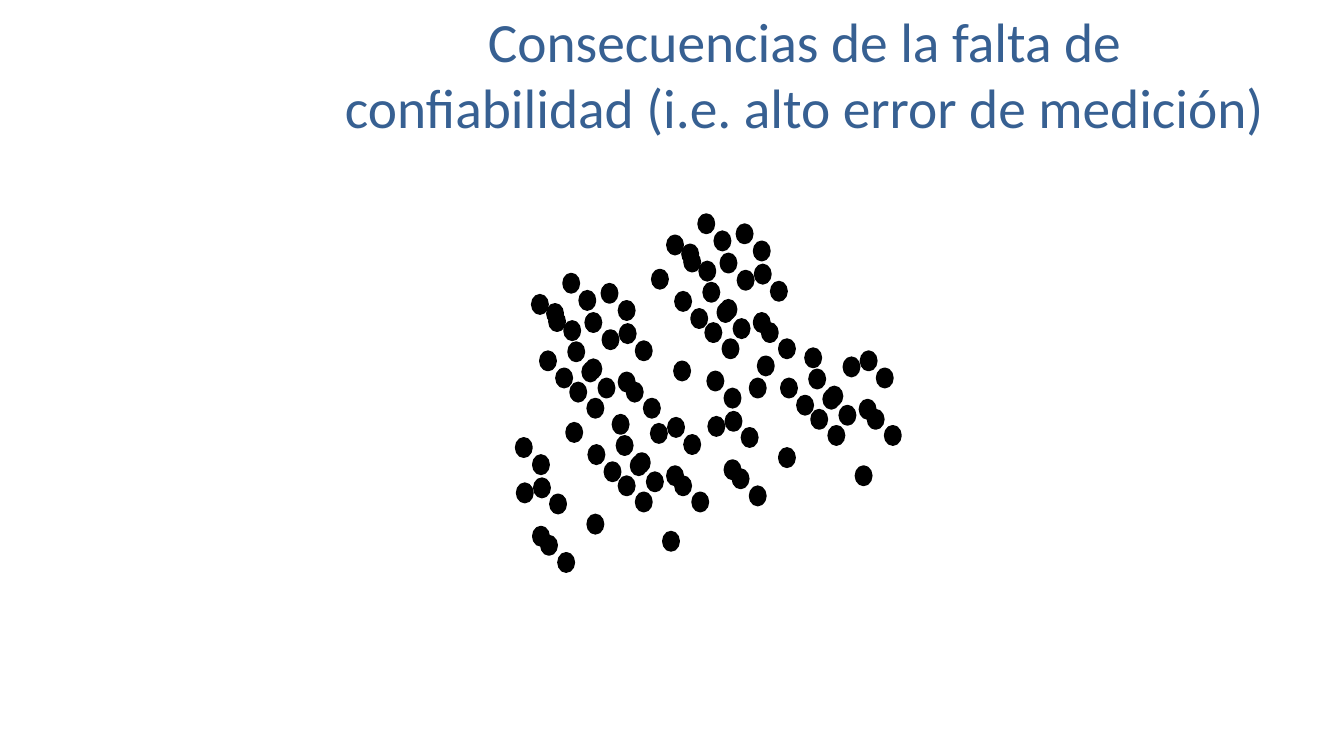
from pptx import Presentation
from pptx.dml.color import RGBColor
from pptx.enum.shapes import MSO_SHAPE
from pptx.enum.text import MSO_ANCHOR, PP_ALIGN
from pptx.util import Cm, Pt

OVAL = MSO_SHAPE.OVAL
MIDDLE = MSO_ANCHOR.MIDDLE
CENTER = PP_ALIGN.CENTER

# Content: places are in units of 2.54 cm
UNIT = 2.54
COLORS = {"title": "376092", "dot": "000000"}
TITLE = "Consecuencias de la falta de confiabilidad (i.e. alto error de medición)"
BOX = (3.3, 0.3, 9.36, 0.86)
SIZE = (0.15, 0.18)

HEAD = [
    (5.43, 3.02), (5.59, 2.72), (5.28, 2.93), (5.81, 3.11),
    (5.97, 2.82), (5.75, 2.89), (5.45, 3.1), (6.14, 2.99),
]
BODY = [
    (5.78, 3.6), (6.15, 3.22), (5.64, 3.4), (5.36, 3.49), (5.66, 3.8),
    (6.22, 3.8), (5.6, 3.19), (5.98, 3.28), (5.94, 3.76), (6.31, 3.39),
    (5.81, 3.57), (6.14, 3.7), (5.52, 3.66), (5.83, 3.96), (6.39, 3.96),
]
TAIL = [
    (7.2, 4.09), (7.52, 3.54), (7.02, 3.69), (7.27, 4.66), (7.03, 4.14),
    (7.36, 4.25), (7.19, 4.57), (7.19, 3.86), (7.44, 4.83),
]
LONE = [
    (6.47, 2.68), (6.69, 3.59), (7.44, 3.76), (7.73, 4.45),
    (8.49, 4.63), (5.83, 5.11), (6.58, 5.28),
]

# Each cluster of dots recurs at these shifts
CLOUDS = [
    (HEAD, [(0, 0), (1.34, -0.59)]),
    (BODY, [(0, 0), (1.34, -0.59), (2.39, 0.27), (0.48, 0.93)]),
    (TAIL, [(0, 0), (-1.9, 0.66)]),
    (LONE, [(0, 0)]),
]


def scale(*nums):
    return [Cm(n * UNIT) for n in nums]


def color(name):
    return RGBColor.from_string(COLORS[name])


def add_title(slide):
    frame = slide.shapes.add_textbox(*scale(*BOX)).text_frame
    frame.word_wrap = True
    frame.vertical_anchor = MIDDLE
    para = frame.paragraphs[0]
    para.alignment = CENTER
    run = para.add_run()
    run.text = TITLE
    run.font.name = "Calibri"
    run.font.size = Pt(39.6)
    run.font.color.rgb = color("title")


def add_dot(slide, x, y):
    dot = slide.shapes.add_shape(OVAL, *scale(x, y, *SIZE))
    dot.shadow.inherit = False
    dot.fill.solid()
    dot.fill.fore_color.rgb = color("dot")
    dot.line.color.rgb = color("dot")
    dot.line.width = Pt(2)


def main():
    deck = Presentation()
    deck.slide_width, deck.slide_height = scale(13.33, 7.5)
    slide = deck.slides.add_slide(deck.slide_layouts[6])

    # Scatter of dots under the title
    add_title(slide)
    for dots, shifts in CLOUDS:
        for dx, dy in shifts:
            for x, y in dots:
                add_dot(slide, x + dx, y + dy)

    deck.save("out.pptx")


if __name__ == "__main__":
    main()
